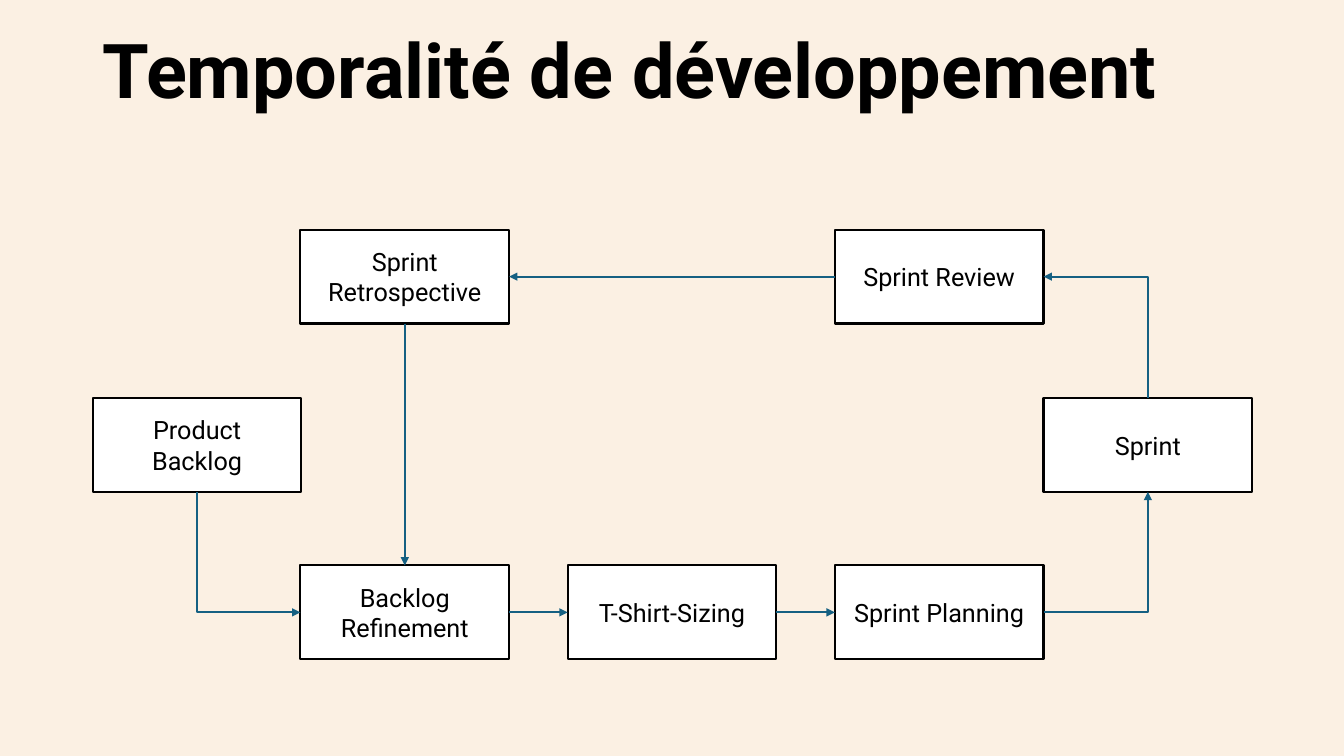
"""Builds the sprint cycle slide: a title and boxes joined by arrows."""
import pptx
import pptx.dml.color
import pptx.enum.shapes
import pptx.enum.text
import pptx.oxml
import pptx.oxml.ns
import pptx.util
from pptx.util import Inches

TOP, LEFT, BOTTOM, RIGHT = range(4)


def color(value):
    return pptx.dml.color.RGBColor.from_string(value)


class Deck:
    font, ink, paper, box_fill, arrow_ink = "Roboto", "000000", "FBF0E3", "FFFFFF", "156082"
    box_width, box_height, line_width = 2.07, 0.93, 1.5

    def __init__(self, prs):
        self.s = prs.slides.add_slide(prs.slide_layouts[6])
        self.s.background.fill.solid()
        self.s.background.fill.fore_color.rgb = color(self.paper)

    def set_text(self, sp, text, size, align, bold=False):
        tf = sp.text_frame
        tf.word_wrap = True
        tf.vertical_anchor = pptx.enum.text.MSO_ANCHOR.MIDDLE
        tf.text = text
        for p in tf.paragraphs:
            p.alignment = align
            p.font.name = self.font
            p.font.size = pptx.util.Pt(size)
            p.font.bold = bold
            p.font.color.rgb = color(self.ink)

    def title(self, text):
        sp = self.s.shapes.add_textbox(Inches(0.92), Inches(0.12), Inches(11.5), Inches(1.22))
        self.set_text(sp, text, 54, pptx.enum.text.PP_ALIGN.LEFT, bold=True)
        sp.text_frame.paragraphs[0].line_spacing = 0.9

    def box(self, text, x, y):
        sp = self.s.shapes.add_shape(
            pptx.enum.shapes.MSO_SHAPE.RECTANGLE,
            Inches(x), Inches(y), Inches(self.box_width), Inches(self.box_height))
        sp.shadow.inherit = False
        sp.fill.solid()
        sp.fill.fore_color.rgb = color(self.box_fill)
        sp.line.color.rgb = color(self.ink)
        sp.line.width = pptx.util.Pt(self.line_width)
        self.set_text(sp, text, 18, pptx.enum.text.PP_ALIGN.CENTER)
        return sp

    def arrow(self, start, start_side, end, end_side):
        kinds = pptx.enum.shapes.MSO_CONNECTOR
        bent = start_side % 2 != end_side % 2
        c = self.s.shapes.add_connector(kinds.ELBOW if bent else kinds.STRAIGHT, 0, 0, 0, 0)
        c.begin_connect(start, start_side)
        c.end_connect(end, end_side)
        c.line.color.rgb = color(self.arrow_ink)
        c.line.width = pptx.util.Pt(self.line_width)
        ns = pptx.oxml.ns.nsdecls("a")
        props = c.element.spPr
        props.find(pptx.oxml.ns.qn("a:ln")).append(
            pptx.oxml.parse_xml(f'<a:tailEnd {ns} type="triangle"/>'))
        props.append(pptx.oxml.parse_xml(f"<a:effectLst {ns}/>"))
        if bent:
            props.find(pptx.oxml.ns.qn("a:prstGeom")).set("prst", "bentConnector2")
            if start_side in (TOP, BOTTOM):
                self.turn(c)

    def turn(self, c):
        dx, dy = c.end_x - c.begin_x, c.end_y - c.begin_y
        mid_x, mid_y = (c.begin_x + c.end_x) // 2, (c.begin_y + c.end_y) // 2
        c.width, c.height = abs(dy), abs(dx)
        c.left, c.top = mid_x - c.width // 2, mid_y - c.height // 2
        xfrm = c.element.spPr.find(pptx.oxml.ns.qn("a:xfrm"))
        xfrm.set("rot", str(270 * 60000))
        xfrm.set("flipH", str(int(dy > 0)))
        xfrm.set("flipV", str(int(dx < 0)))


def main():
    prs = pptx.Presentation()
    prs.slide_width, prs.slide_height = Inches(13.33), Inches(7.5)
    deck = Deck(prs)
    deck.title("Temporalité de développement")

    columns = [0.92, 2.98, 5.63, 8.28, 10.35]
    rows = [2.28, 3.95, 5.61]
    backlog, refinement, retrospective, review, planning, sizing, sprint = [
        deck.box(text, columns[column], rows[row])
        for text, column, row in [
            ("Product\nBacklog", 0, 1),
            ("Backlog Refinement", 1, 2),
            ("Sprint Retrospective", 1, 0),
            ("Sprint Review", 3, 0),
            ("Sprint Planning", 3, 2),
            ("T-Shirt-Sizing", 2, 2),
            ("Sprint", 4, 1),
        ]
    ]

    for link in [
        (backlog, BOTTOM, refinement, LEFT),
        (refinement, RIGHT, sizing, LEFT),
        (sizing, RIGHT, planning, LEFT),
        (planning, RIGHT, sprint, BOTTOM),
        (sprint, TOP, review, RIGHT),
        (review, LEFT, retrospective, RIGHT),
        (retrospective, BOTTOM, refinement, TOP),
    ]:
        deck.arrow(*link)

    prs.save("out.pptx")


if __name__ == "__main__":
    main()
